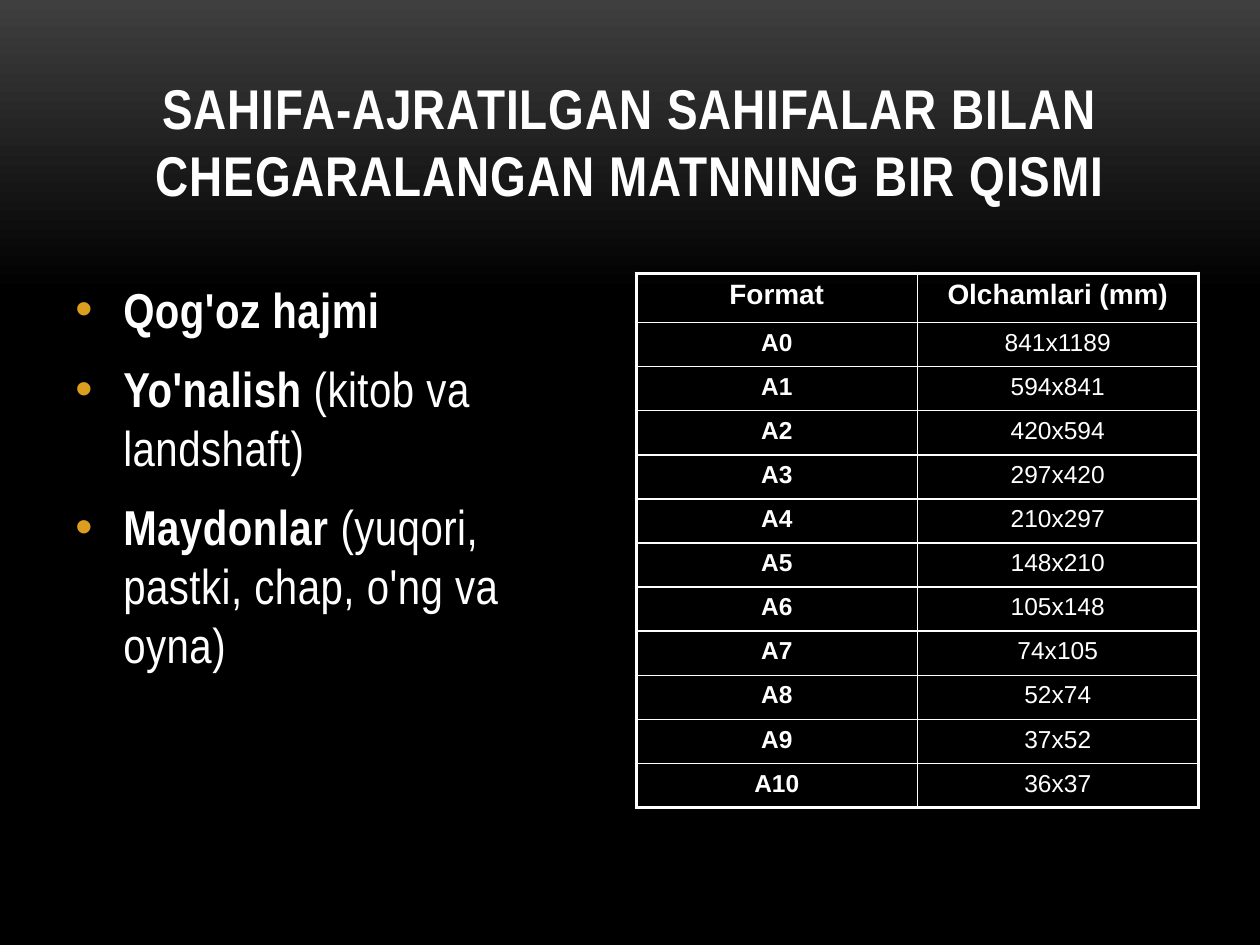
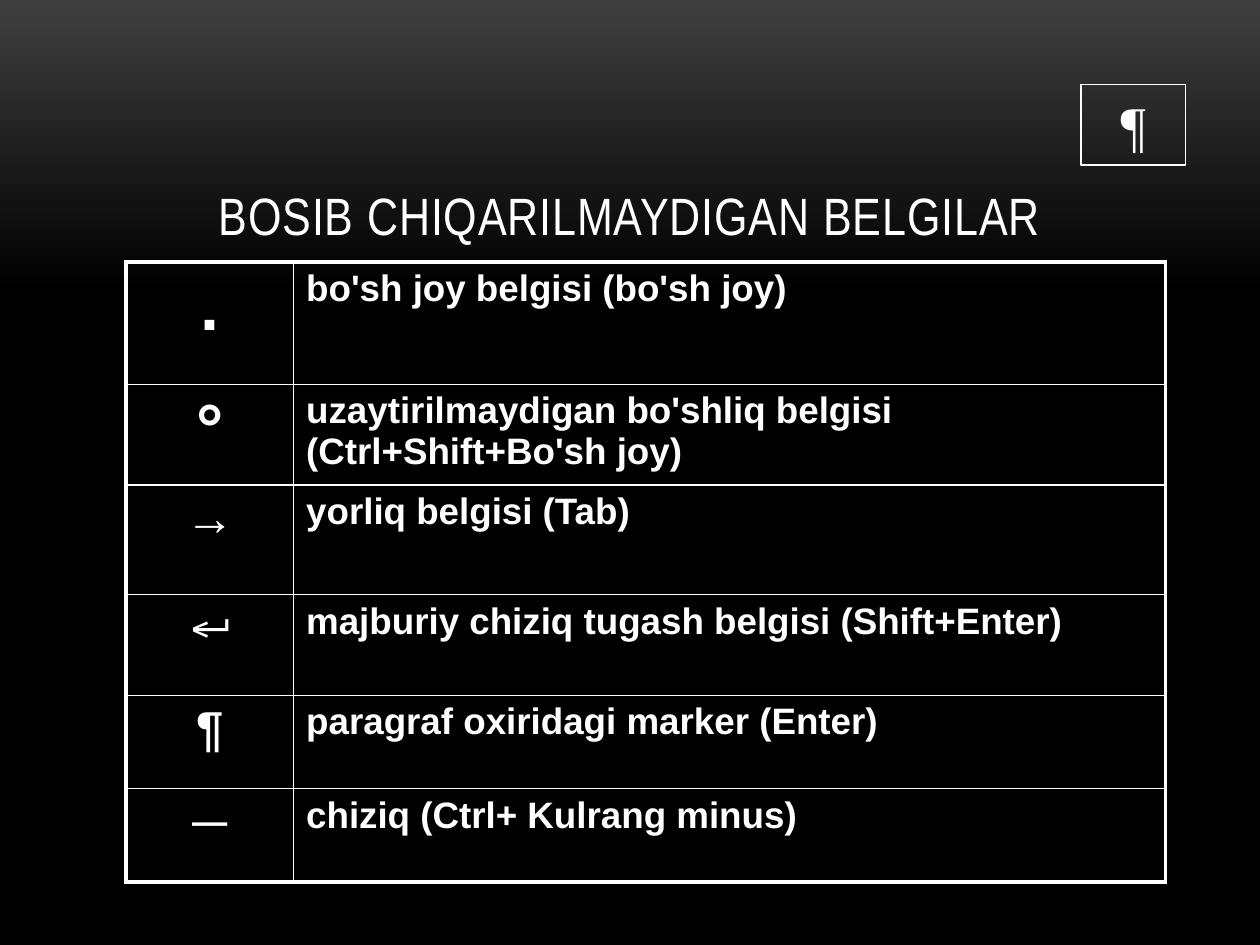
from copy import deepcopy

from lxml.etree import SubElement
from pptx import Presentation
from pptx.dml.color import RGBColor
from pptx.enum.shapes import MSO_SHAPE as SHAPE
from pptx.enum.text import MSO_ANCHOR as ANCHOR, MSO_AUTO_SIZE as FIT, PP_ALIGN as ALIGN
from pptx.oxml.ns import qn
from pptx.util import Inches, Pt

WHITE, GREY, BLACK, GOLD = "FFFFFF", "3F3F3F", "000000", "DC9E1F"
NARROW, SANS, SERIF = "Arial Narrow", "Arial", "Times New Roman"
THICK, THIN = 2.25, 1

PAPER_SIZES = [
    ("A0", "841х1189"), ("A1", "594х841"), ("A2", "420х594"), ("A3", "297x420"),
    ("A4", "210x297"), ("A5", "148x210"), ("A6", "105x148"), ("A7", "74x105"),
    ("A8", "52x74"), ("A9", "37x52"), ("A10", "36х37"),
]
PAGE_SETTINGS = [
    [("Qog'oz hajmi", True)],
    [("Yo'nalish ", True), ("(kitob va landshaft)", False)],
    [("Maydonlar ", True), ("(yuqori, pastki, chap, o'ng va oyna)", False)],
]
HIDDEN_MARKS = [
    (".", 39, True, "bo'sh joy belgisi (bo'sh joy)"),
    ("°", 39, True, "uzaytirilmaydigan bo'shliq belgisi (Ctrl+Shift+Bo'sh joy)"),
    ("→", 28, True, "yorliq belgisi (Tab)"),
    ("↵", 28, True, "majburiy chiziq tugash belgisi (Shift+Enter)"),
    ("¶", 28, True, "paragraf oxiridagi marker (Enter)"),
    ("─", 28, False, "chiziq (Ctrl+ Kulrang minus)"),
]


def rgb(color):
    return RGBColor.from_string(color)


class Deck:
    def __init__(self):
        self.prs = Presentation()
        self.prs.slide_width, self.prs.slide_height = Inches(10), Inches(7.5)
        self.s = None
        self.background()

    def background(self):
        master = self.prs.slide_master
        fill = master.background.fill
        fill.gradient()
        fill.gradient_angle = 270
        for stop, color, pos in zip(fill.gradient_stops, (GREY, BLACK), (0, 0.31)):
            stop.color.rgb = rgb(color)
            stop.position = pos
        stops = master.element.find(".//" + qn("a:gsLst"))
        end = deepcopy(stops[-1])
        end.set("pos", "100000")
        stops.append(end)

    def run(self, p, text, size, font, bold=False, spacing=0):
        r = p.add_run()
        r.text = text
        r.font.size, r.font.name, r.font.bold = Pt(size), font, bold
        r.font.color.rgb = rgb(WHITE)
        if spacing:
            r.font._element.set("spc", str(int(spacing * 100)))

    def space_before(self, p, percent):
        before = SubElement(p._p.get_or_add_pPr(), qn("a:spcBef"))
        SubElement(before, qn("a:spcPct")).set("val", str(percent * 1000))

    def slide(self, title, top, height, size, bold):
        self.s = self.prs.slides.add_slide(self.prs.slide_layouts[5])
        sp = self.s.shapes.title
        sp.left, sp.top, sp.width, sp.height = map(Inches, (0.5, top, 9, height))
        tf = sp.text_frame
        tf.auto_size, tf.word_wrap, tf.vertical_anchor = FIT.NONE, True, ANCHOR.BOTTOM
        p = tf.paragraphs[0]
        p.alignment = ALIGN.CENTER
        self.run(p, title, size, NARROW, bold, 0.5)

    def bullets(self, box, items):
        tf = self.s.shapes.add_textbox(*map(Inches, box)).text_frame
        tf.word_wrap = True
        for i, item in enumerate(items):
            p = tf.add_paragraph() if i else tf.paragraphs[0]
            self.space_before(p, 20)
            p.space_after = Pt(6)
            ppr = p._p.get_or_add_pPr()
            ppr.set("marL", str(Inches(0.38)))
            ppr.set("indent", str(Inches(-0.38)))
            color = SubElement(ppr, qn("a:buClr"))
            SubElement(color, qn("a:srgbClr")).set("val", GOLD)
            SubElement(ppr, qn("a:buFont")).set("typeface", SANS)
            SubElement(ppr, qn("a:buChar")).set("char", "•")
            for text, bold in item:
                self.run(p, text, 28, NARROW, bold, 0.3)

    def borders(self, cell, widths):
        tcpr = cell._tc.get_or_add_tcPr()
        for side, width in zip("LRTB", widths):
            ln = SubElement(tcpr, qn("a:ln" + side), w=str(Pt(width)))
            fill = SubElement(ln, qn("a:solidFill"))
            SubElement(fill, qn("a:srgbClr")).set("val", WHITE)

    def table(self, box, widths, heights, rows):
        tbl = self.s.shapes.add_table(len(rows), len(widths), *map(Inches, box)).table
        tbl.first_row = tbl.horz_banding = False
        for col, width in zip(tbl.columns, widths):
            col.width = Inches(width)
        for i, (row, height) in enumerate(zip(rows, heights)):
            tbl.rows[i].height = Inches(height)
            for j, (text, size, bold, align) in enumerate(row):
                cell = tbl.cell(i, j)
                edges = (j == 0, j == len(widths) - 1, i == 0, i == len(rows) - 1)
                self.borders(cell, [THICK if edge else THIN for edge in edges])
                cell.fill.background()
                p = cell.text_frame.paragraphs[0]
                p.alignment = align
                self.space_before(p, 20)
                self.run(p, text, size, SANS, bold)

    def symbol_box(self, box, text):
        sp = self.s.shapes.add_shape(SHAPE.RECTANGLE, *map(Inches, box))
        sp.shadow.inherit = False
        sp.fill.background()
        sp.line.color.rgb, sp.line.width = rgb(WHITE), Pt(0.75)
        tf = sp.text_frame
        tf.vertical_anchor, tf.auto_size = ANCHOR.TOP, FIT.SHAPE_TO_FIT_TEXT
        p = tf.paragraphs[0]
        p.alignment = ALIGN.CENTER
        self.space_before(p, 50)
        self.run(p, text, 32, SERIF)


def main():
    deck = Deck()

    deck.slide("SAHIFA-AJRATILGAN SAHIFALAR BILAN CHEGARALANGAN MATNNING BIR QISMI",
               0.9, 0.8, 32, True)
    deck.bullets((0.5, 2.17, 4.41, 4.25), PAGE_SETTINGS)
    header = [(text, 16, True, ALIGN.CENTER) for text in ("Format", "Olchamlari (mm)")]
    sizes = [[(name, 14, True, ALIGN.CENTER), (size, 14, False, ALIGN.CENTER)]
             for name, size in PAPER_SIZES]
    deck.table((5.05, 2.17, 4.45, 4.25), [2.23] * 2,
               [0.39] + [0.35] * len(sizes), [header] + sizes)

    deck.slide("BOSIB CHIQARILMAYDIGAN BELGILAR", 0.5, 1.5, 30, False)
    marks = [[(mark, size, bold, ALIGN.CENTER), (meaning, 21, True, ALIGN.LEFT)]
             for mark, size, bold, meaning in HIDDEN_MARKS]
    deck.table((1, 2.08, 8.25, 4.91), [1.33, 6.92],
               [0.97, 0.8, 0.87, 0.8, 0.74, 0.74], marks)
    deck.symbol_box((8.58, 0.67, 0.83, 0.64), "¶")

    deck.prs.save("out.pptx")


if __name__ == "__main__":
    main()
